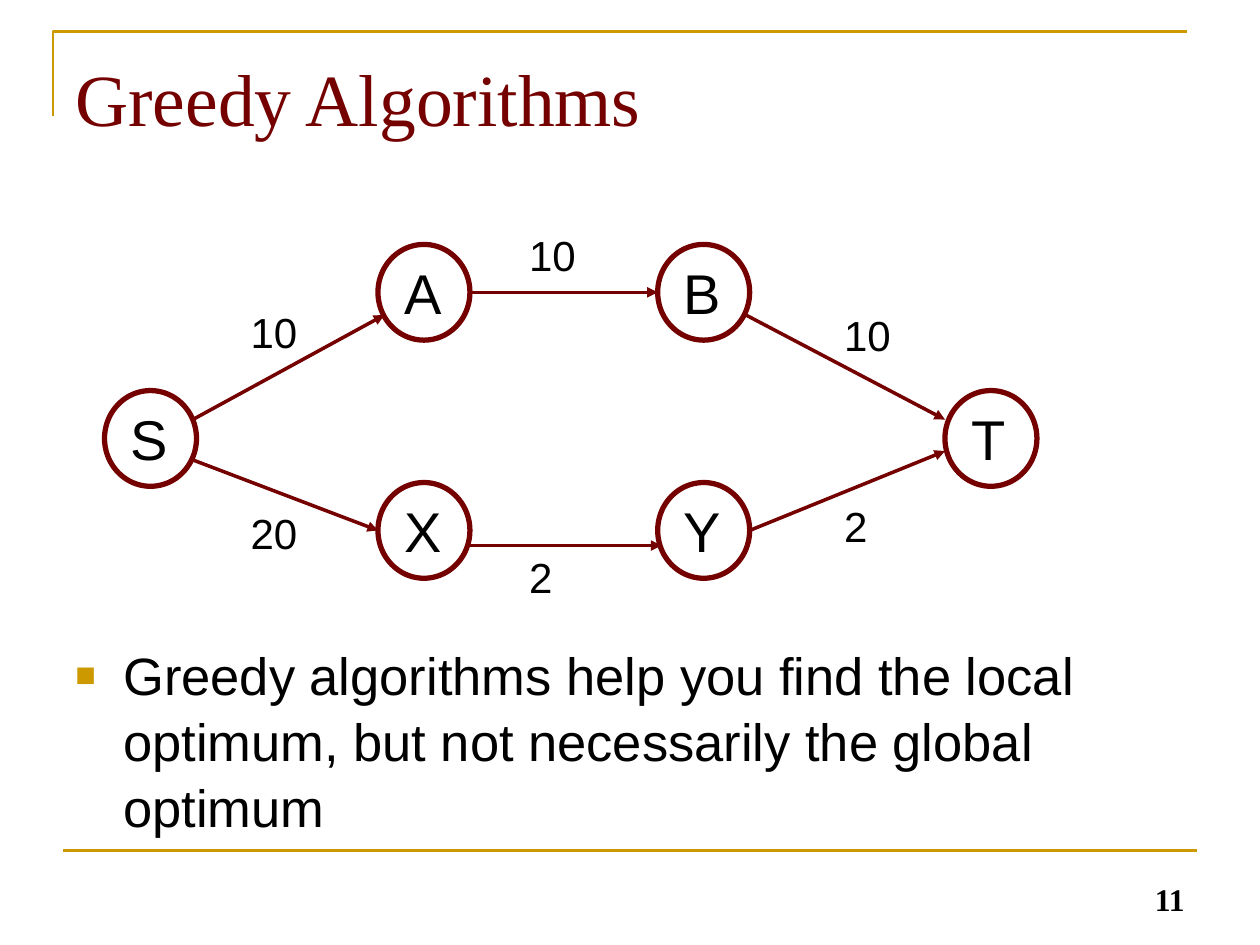
from lxml.etree import SubElement
from pptx import Presentation
from pptx.dml.color import RGBColor
from pptx.enum.shapes import MSO_CONNECTOR, MSO_SHAPE
from pptx.enum.text import MSO_ANCHOR, PP_ALIGN
from pptx.oxml.ns import qn
from pptx.util import Inches, Pt

MAROON = RGBColor(0x74, 0x00, 0x00)
GOLD = RGBColor(0xCC, 0x99, 0x00)
BLACK = RGBColor(0x00, 0x00, 0x00)
SANS, SERIF = "Arial", "Times New Roman"

NODES = {
    "S": (0.83, 3.1), "A": (3, 1.94), "B": (5.22, 1.94),
    "T": (7.5, 3.1), "X": (3, 3.83), "Y": (5.22, 3.83),
}
EDGES = [
    ((1.53, 3.33), (3.05, 2.5)),
    ((3.73, 2.32), (5.22, 2.32)),
    ((5.92, 2.5), (7.5, 3.33)),
    ((1.53, 3.65), (3, 4.21)),
    ((3.72, 4.33), (5.25, 4.33)),
    ((5.95, 4.21), (7.5, 3.58)),
]
WEIGHTS = [
    ("10", 1.89, 2.38), ("10", 4.1, 1.77), ("10", 6.6, 2.41),
    ("20", 1.89, 3.98), ("2", 4.1, 4.33), ("2", 6.6, 3.92),
]


def add_text(slide, text, box, size, font=SANS, color=BLACK, wrap=True, top=0.05):
    """Add a text box holding one run and return its text frame."""
    frame = slide.shapes.add_textbox(*map(Inches, box)).text_frame
    frame.word_wrap = wrap
    frame.margin_top = Inches(top)
    run = frame.paragraphs[0].add_run()
    run.text = text
    run.font.size = Pt(size)
    run.font.name = font
    run.font.color.rgb = color
    return frame


def add_line(slide, start, end, color, width, arrow=False):
    """Draw a straight line, with an arrowhead at its end if asked."""
    line = slide.shapes.add_connector(
        MSO_CONNECTOR.STRAIGHT, *map(Inches, (*start, *end)))
    line.line.color.rgb = color
    line.line.width = Pt(width)
    if arrow:
        SubElement(line.line._get_or_add_ln(), qn("a:tailEnd"), type="triangle")
    SubElement(line._element.spPr, qn("a:effectLst"))


def add_corner(slide):
    """Draw the gold corner rule around the title."""
    builder = slide.shapes.build_freeform(Inches(0.42), Inches(0.92))
    builder.add_line_segments(
        [(Inches(0.42), Inches(0.25)), (Inches(9.42), Inches(0.25))], close=False)
    corner = builder.convert_to_shape()
    corner.shadow.inherit = False
    corner.fill.background()
    corner.line.color.rgb = GOLD
    corner.line.width = Pt(1.5)


def add_node(slide, name, left, top):
    """Draw a graph node with its letter."""
    circle = slide.shapes.add_shape(
        MSO_SHAPE.OVAL, *map(Inches, (left, top, 0.73, 0.76)))
    circle.shadow.inherit = False
    circle.fill.background()
    circle.line.color.rgb = MAROON
    circle.line.width = Pt(3)
    width = 0.48 if name == "T" else 0.5
    add_text(slide, name, (left + 0.11, top + 0.06, width, 0.64), 32, wrap=False)


def add_bullet(slide, text, box):
    """Add a paragraph with a gold square bullet and a hanging indent."""
    paragraph = add_text(slide, text, box, 30, top=0.07).paragraphs[0]
    paragraph.line_spacing = 1.05
    properties = paragraph._p.get_or_add_pPr()
    properties.set("marL", str(Inches(0.38)))
    properties.set("indent", str(Inches(-0.38)))
    color = SubElement(properties, qn("a:buClr"))
    SubElement(color, qn("a:srgbClr"), val=str(GOLD))
    SubElement(properties, qn("a:buSzPct"), val="65000")
    SubElement(properties, qn("a:buFont"), typeface=SANS)
    SubElement(properties, qn("a:buChar"), char="■")


def add_page_number(slide, number):
    """Add the bold page number at the bottom right."""
    frame = add_text(slide, number, (7.17, 6.83, 2.33, 0.5), 18, SERIF)
    frame.vertical_anchor = MSO_ANCHOR.BOTTOM
    frame.paragraphs[0].alignment = PP_ALIGN.RIGHT
    frame.paragraphs[0].runs[0].font.bold = True


def main():
    """Build the slide and save it."""
    deck = Presentation()
    deck.slide_width, deck.slide_height = Inches(10), Inches(7.5)
    slide = deck.slides.add_slide(deck.slide_layouts[6])

    add_corner(slide)
    add_line(slide, (0.5, 6.75), (9.5, 6.75), GOLD, 1.5)
    add_text(slide, "Greedy Algorithms", (0.5, 0.3, 9, 1.25), 42, SERIF, MAROON, top=0.12)
    add_bullet(
        slide,
        "Greedy algorithms help you find the local optimum, "
        "but not necessarily the global optimum",
        (0.5, 5.01, 9, 1.45))
    add_page_number(slide, "11")

    for name, (left, top) in NODES.items():
        add_node(slide, name, left, top)
    for start, end in EDGES:
        add_line(slide, start, end, MAROON, 2, arrow=True)
    for weight, left, top in WEIGHTS:
        width = 0.2 + 0.19 * len(weight)
        add_text(slide, weight, (left, top, width, 0.5), 24, wrap=False)

    deck.save("out.pptx")


if __name__ == "__main__":
    main()
